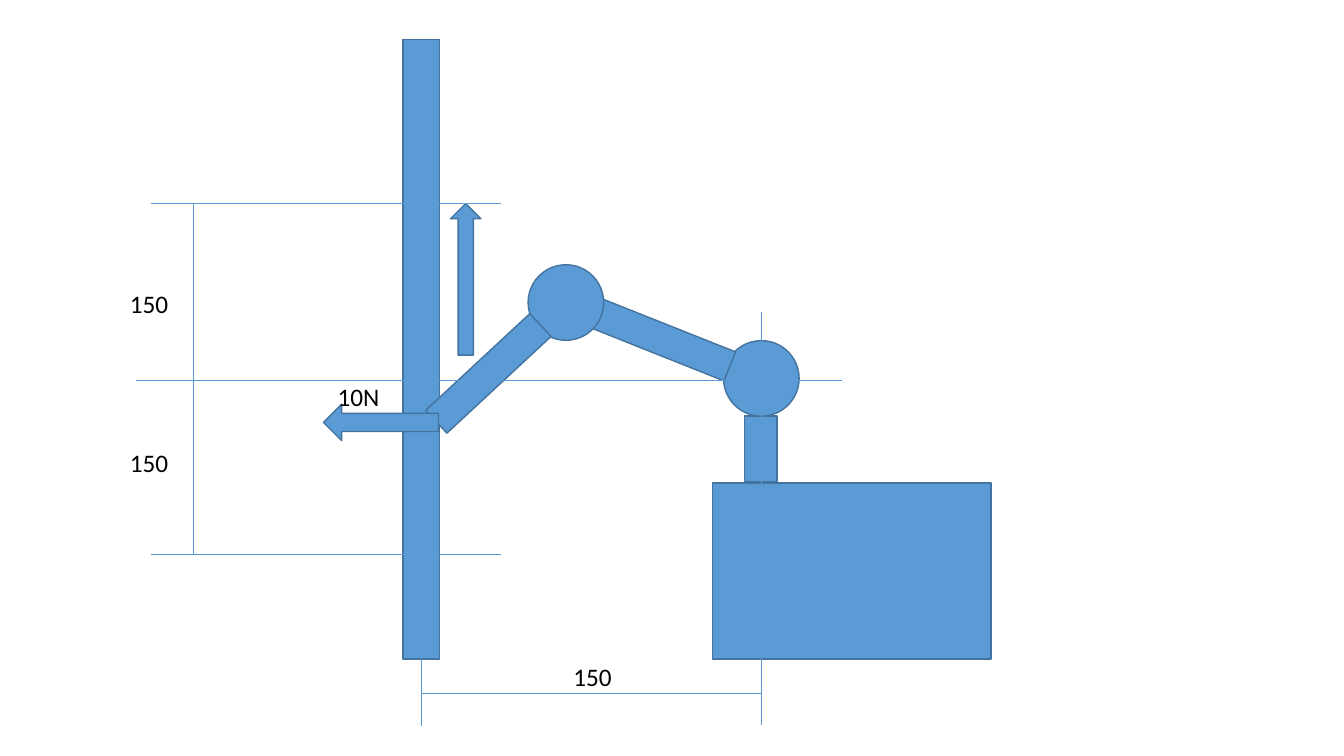
from dataclasses import dataclass

from lxml import etree
from pptx import Presentation
from pptx.dml.color import RGBColor
from pptx.enum.shapes import MSO_CONNECTOR, MSO_SHAPE
from pptx.enum.text import MSO_AUTO_SIZE, PP_ALIGN
from pptx.oxml.ns import qn
from pptx.slide import Slide
from pptx.util import Pt

RECTANGLE = MSO_SHAPE.RECTANGLE
OVAL = MSO_SHAPE.OVAL
DOWN_ARROW = MSO_SHAPE.DOWN_ARROW
RIGHT_ARROW = MSO_SHAPE.RIGHT_ARROW
STRAIGHT = MSO_CONNECTOR.STRAIGHT

FILL = "5B9BD5"
OUTLINE = "43739E"
TEXT = "000000"
FONT = "Calibri"

# Shared axes and sizes, in points
WALL_X = 301
SHOULDER_X = 543.6
TOP_Y, MIDDLE_Y, BOTTOM_Y = 145.4, 271.4, 396
HEIGHT_X = 138.2
REACH_Y = 495.4
JOINT = 54
LINK_WIDTH, LINK_LENGTH = 22.3, 101.5
LABEL_HEIGHT = 29.1


@dataclass(frozen=True)
class Part:
    kind: MSO_SHAPE
    left: float
    top: float
    width: float
    height: float
    rotation: float = 0


@dataclass(frozen=True)
class Rule:
    x1: float
    y1: float
    x2: float
    y2: float


@dataclass(frozen=True)
class Label:
    text: str
    left: float
    top: float
    width: float = 42.2


PARTS = [
    Part(RECTANGLE, 509, 344.9, 198.9, 125.9),  # base
    Part(RECTANGLE, 288, 28.2, 25.9, 442.6),  # wall
    Part(RECTANGLE, 532, 297.2, 23.2, 46.8),  # post
    Part(OVAL, 516.8, 243.3, JOINT, JOINT),  # shoulder
    Part(RECTANGLE, 463, 192.2, LINK_WIDTH, LINK_LENGTH, 291.7),
    Part(OVAL, 377.2, 189.1, JOINT, JOINT),  # elbow
    Part(RECTANGLE, 337.7, 216, LINK_WIDTH, LINK_LENGTH, 47.1),
    Part(DOWN_ARROW, 321.8, TOP_Y, 21.7, 108.3, 180),  # motion
    Part(RIGHT_ARROW, 231, 288.7, 82.2, 26, 180),  # force
]

RULES = [
    Rule(601.2, MIDDLE_Y, 97.2, MIDDLE_Y),
    Rule(108, TOP_Y, 357.8, TOP_Y),
    Rule(108, BOTTOM_Y, 357.8, BOTTOM_Y),
    Rule(HEIGHT_X, TOP_Y, HEIGHT_X, BOTTOM_Y),
    Rule(SHOULDER_X, 222.6, SHOULDER_X, 518.2),
    Rule(WALL_X, 470.8, WALL_X, 518.8),
    Rule(WALL_X, REACH_Y, SHOULDER_X, REACH_Y),
]

LABELS = [
    Label("150", 85.7, 202.5),
    Label("150", 85.7, 316.2),
    Label("150", 402.5, 469),
    Label("10N", 234, 268.5, 44.6),
]


def color(value: str) -> RGBColor:
    return RGBColor.from_string(value)


def draw_part(slide: Slide, part: Part) -> None:
    shape = slide.shapes.add_shape(
        part.kind, Pt(part.left), Pt(part.top), Pt(part.width), Pt(part.height)
    )
    shape.rotation = part.rotation
    shape.shadow.inherit = False
    shape.fill.solid()
    shape.fill.fore_color.rgb = color(FILL)
    shape.line.color.rgb = color(OUTLINE)
    shape.line.width = Pt(1)


def draw_rule(slide: Slide, rule: Rule) -> None:
    connector = slide.shapes.add_connector(
        STRAIGHT, Pt(rule.x1), Pt(rule.y1), Pt(rule.x2), Pt(rule.y2)
    )
    connector.line.color.rgb = color(FILL)
    connector.line.width = Pt(0.5)
    properties = connector.element.find(qn("p:spPr"))
    etree.SubElement(properties, qn("a:effectLst"))


def draw_label(slide: Slide, label: Label) -> None:
    shape = slide.shapes.add_textbox(
        Pt(label.left), Pt(label.top), Pt(label.width), Pt(LABEL_HEIGHT)
    )
    text_frame = shape.text_frame
    text_frame.text = label.text
    text_frame.word_wrap = False
    text_frame.auto_size = MSO_AUTO_SIZE.SHAPE_TO_FIT_TEXT
    paragraph = text_frame.paragraphs[0]
    paragraph.alignment = PP_ALIGN.LEFT
    font = paragraph.runs[0].font
    font.name = FONT
    font.size = Pt(18)
    font.color.rgb = color(TEXT)


def main() -> None:
    presentation = Presentation()
    presentation.slide_width = Pt(960)
    presentation.slide_height = Pt(540)
    slide = presentation.slides.add_slide(presentation.slide_layouts[6])

    # Robot arm, wall and arrows
    for part in PARTS:
        draw_part(slide, part)

    # Dimension and centre lines
    for rule in RULES:
        draw_rule(slide, rule)

    # Dimensions and force
    for label in LABELS:
        draw_label(slide, label)

    presentation.save("out.pptx")


if __name__ == "__main__":
    main()
